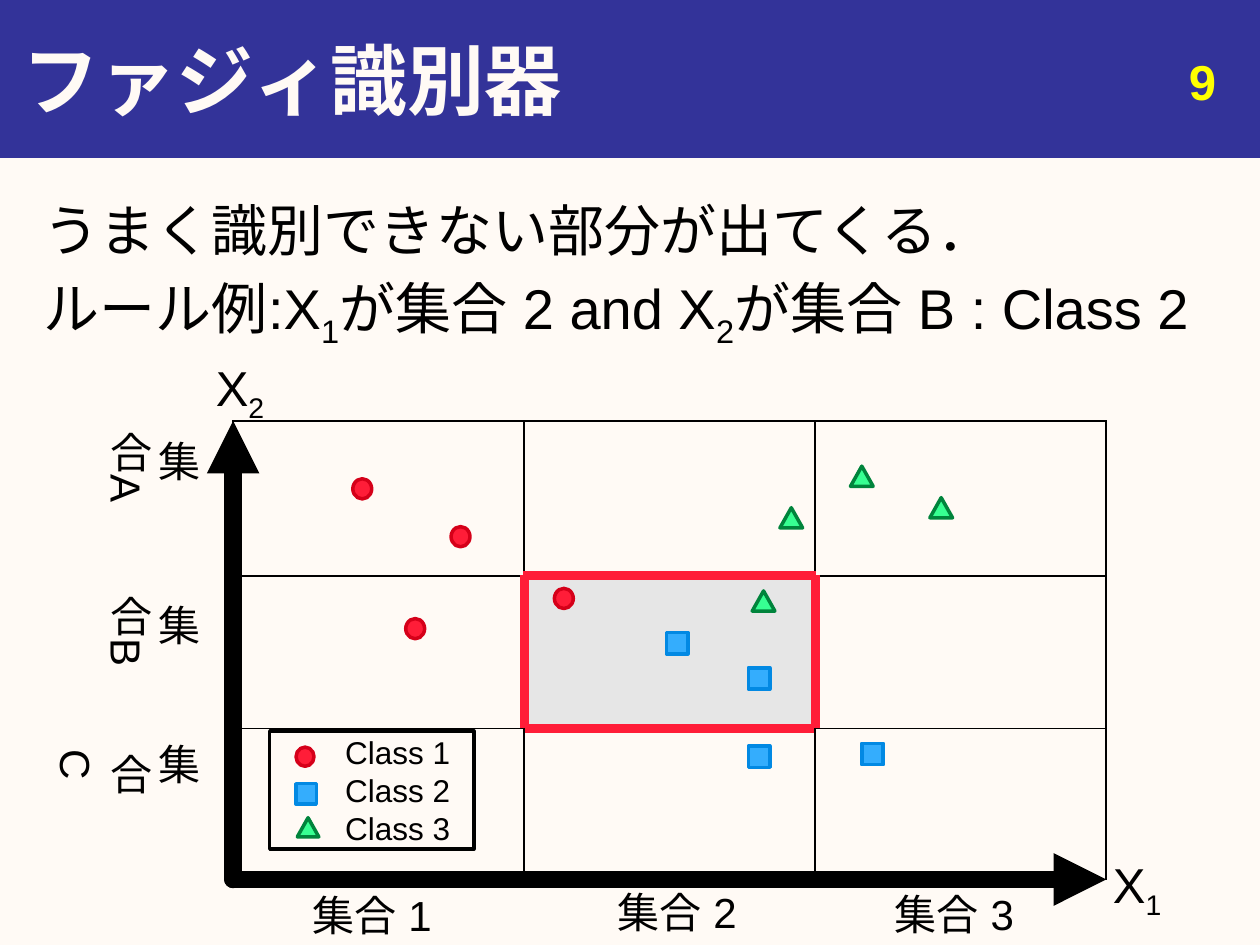
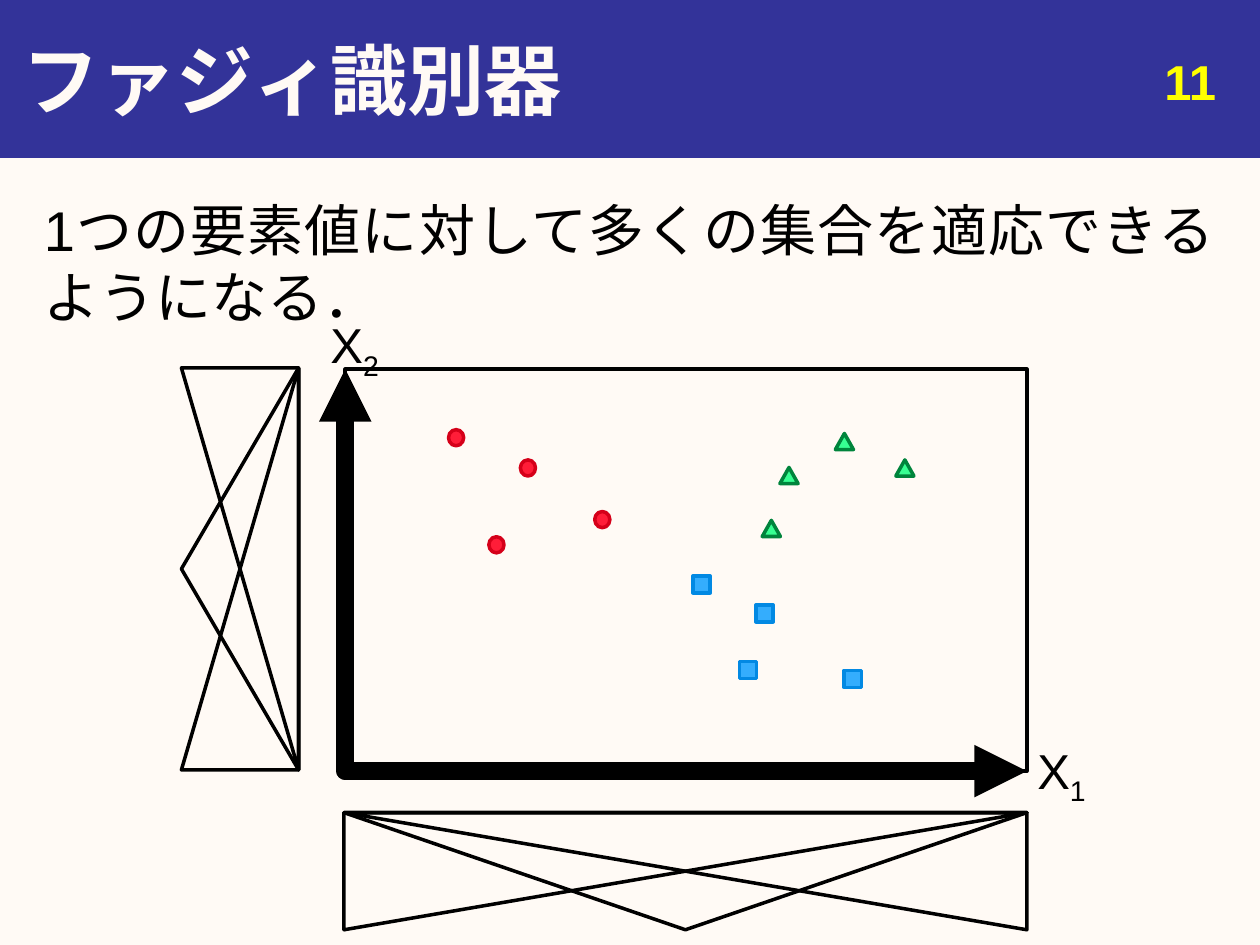
from lxml import etree
from pptx import Presentation
from pptx import util as u
from pptx.dml.color import RGBColor
from pptx.enum import lang, shapes, text
from pptx.oxml import ns

CREAM = RGBColor(0xFF, 0xFA, 0xF5)
NAVY = RGBColor(0x33, 0x33, 0x99)
YELLOW = RGBColor(0xFF, 0xFF, 0x00)
BLACK = RGBColor(0x00, 0x00, 0x00)
GRAY = RGBColor(0xE6, 0xE6, 0xE6)
RED = RGBColor(0xFF, 0x1D, 0x38)
CRIMSON = RGBColor(0xD5, 0x00, 0x19)
SKY = RGBColor(0x34, 0xAD, 0xFD)
BLUE = RGBColor(0x02, 0x89, 0xE3)
MINT = RGBColor(0x37, 0xFF, 0x92)
GREEN = RGBColor(0x00, 0x84, 0x3C)
FONT = "Arial"
FORM = shapes.MSO_SHAPE
ALIGN = text.PP_ALIGN
MID = text.MSO_ANCHOR.MIDDLE

CLASSES = [
    (FORM.OVAL, RED, CRIMSON, 0.15, 0.16),
    (FORM.RECTANGLE, SKY, BLUE, 0.17, 0.17),
    (FORM.ISOSCELES_TRIANGLE, MINT, GREEN, 0.18, 0.16),
]
CRISP_DATA = [
    [(3.58, 4.18), (3.22, 4.91), (2.8, 3.8), (4.4, 4.67)],
    [(5.29, 5.02), (5.94, 5.92), (5.94, 5.3), (6.84, 5.9)],
    [(5.97, 4.69), (6.75, 3.7), (6.19, 4.03), (7.38, 3.95)],
]
FUZZY_DATA = [
    [(4.13, 3.65), (3.88, 4.26), (3.56, 3.41), (4.72, 4.06)],
    [(5.5, 4.57), (5.87, 5.25), (6, 4.8), (6.7, 5.32)],
    [(6.05, 4.13), (6.63, 3.44), (6.19, 3.71), (7.11, 3.65)],
]
LEGEND_DATA = [[(2.35, 5.93)], [(2.35, 6.22)], [(2.36, 6.49)]]


def inches(*sizes):
    """Turn numbers into lengths."""
    return [u.Inches(size) for size in sizes]


def child(parent, tag, **attrs):
    """Append a DrawingML element."""
    return etree.SubElement(parent, ns.qn("a:" + tag), **attrs)


def write(frame, words, size=28, color=BLACK, bold=False, align=ALIGN.CENTER,
          anchor=text.MSO_ANCHOR.TOP, before=0, level=0):
    """Write lines, where an underscore lowers the next character."""
    frame.word_wrap = True
    frame.vertical_anchor = anchor
    for row, line in enumerate(words.split("\n")):
        para = frame.paragraphs[0] if row == 0 else frame.add_paragraph()
        para.alignment, para.level = align, level
        para.space_before = u.Pt(before)
        head, *rest = line.split("_")
        parts = [(head, False)]
        for part in rest:
            parts += [(part[0], True), (part[1:], False)]
        for piece, low in parts:
            if not piece:
                continue
            run = para.add_run()
            run.text = piece
            font = run.font
            font.name, font.size, font.bold = FONT, u.Pt(size), bold
            font.color.rgb = color
            font.language_id = lang.MSO_LANGUAGE_ID.JAPANESE
            props = run._r.get_or_add_rPr()
            child(props, "ea", typeface=FONT)
            if low:
                props.set("baseline", "-25000")


def label(slide, box, words, upright=False, **style):
    """Add a text box, with vertical writing if upright."""
    frame = slide.shapes.add_textbox(*inches(*box)).text_frame
    write(frame, words, **style)
    if upright:
        frame._txBody.bodyPr.set("vert", "eaVert")


def draw(slide, form, box, fill=None, line=BLACK, width=2):
    """Add a flat preset shape."""
    shape = slide.shapes.add_shape(form, *inches(*box))
    shape.shadow.inherit = False
    if fill is None:
        shape.fill.background()
    else:
        shape.fill.solid()
        shape.fill.fore_color.rgb = fill
    shape.line.color.rgb = line
    shape.line.width = u.Pt(width)
    return shape


def arrow(slide, start, end):
    """Add a thick axis arrow."""
    link = slide.shapes.add_connector(
        shapes.MSO_CONNECTOR.STRAIGHT, *inches(*start, *end))
    link.line.color.rgb = BLACK
    link.line.width = u.Pt(10)
    edge = link.line._get_or_add_ln()
    edge.set("cap", "rnd")
    child(edge, "tailEnd", type="triangle")
    child(link._element.spPr, "effectLst")


def axes(slide, left, top, right, base):
    """Add both axes from their common corner."""
    arrow(slide, (left, base), (left, top))
    arrow(slide, (left, base), (right, base))


def plot(slide, data, scale=1):
    """Add the markers of each class."""
    for (form, fill, line, wide, high), spots in zip(CLASSES, data):
        for left, top in spots:
            draw(slide, form, (left, top, wide * scale, high * scale), fill, line)


def border(cell, side, color, width):
    """Draw one side of a cell."""
    edge = child(cell._tc.get_or_add_tcPr(), "ln" + side, w=str(u.Pt(width)))
    child(child(edge, "solidFill"), "srgbClr", val=str(color))


def grid(slide, box, rows):
    """Add the rule table with its middle cell marked."""
    table = slide.shapes.add_table(3, 3, *inches(*box)).table
    table.first_row = table.horz_banding = False
    sides = {"L": (0, -1), "R": (0, 1), "T": (-1, 0), "B": (1, 0)}
    mark = (1, 1)
    for row, high in enumerate(rows):
        table.rows[row].height = u.Inches(high)
        for col in range(3):
            cell = table.cell(row, col)
            for side, (down, over) in sides.items():
                hot = mark in ((row, col), (row + down, col + over))
                border(cell, side, RED if hot else BLACK, 6 if hot else 1)
            cell.fill.solid()
            cell.fill.fore_color.rgb = GRAY if (row, col) == mark else CREAM


def fuzzy(slide, box, turn=0):
    """Add three overlapping membership triangles."""
    for peak in (0, 0.5, 1):
        shape = draw(slide, FORM.ISOSCELES_TRIANGLE, box)
        shape.adjustments[0] = peak
        shape.rotation = turn
        shape._element.spPr.get_or_add_xfrm().set("flipV", "1")


def start(deck, number, body):
    """Add a slide with its band, title, number and body."""
    slide = deck.slides.add_slide(deck.slide_layouts[6])
    slide.background.fill.solid()
    slide.background.fill.fore_color.rgb = CREAM
    draw(slide, FORM.RECTANGLE, (0, 0, 10, 1.25), NAVY, NAVY, 0.75)
    label(slide, (0.08, 0, 9.92, 1.25), "ファジィ識別器", size=44,
          color=CREAM, bold=True, align=ALIGN.LEFT, anchor=MID)
    label(slide, (0.25, 1.5, 9.5, 5.67), body, size=32,
          align=ALIGN.JUSTIFY, before=6.4)
    label(slide, (7.42, 0.36, 2.33, 0.52), number, color=YELLOW,
          bold=True, align=ALIGN.RIGHT)
    return slide


def crisp_slide(deck):
    """Build the slide on crisp sets."""
    slide = start(deck, "9", "うまく識別できない部分が出てくる．\n"
                  "ルール例:X_1が集合 2 and X_2が集合 B : Class 2")
    label(slide, (8.58, 6.73, 0.89, 0.57), "X_1")
    label(slide, (1.46, 2.79, 0.89, 0.57), "X_2")
    for name, left, top in (("1", 1.92, 7.01), ("2", 4.34, 6.99), ("3", 6.54, 7)):
        label(slide, (left, top, 2.07, 0.49), "集合 " + name, size=24)
    grid(slide, (1.85, 3.34, 6.93, 3.64), (1.23, 1.21, 1.2))
    for name, top in (("A", 3.24), ("B", 4.54), ("C", 5.8)):
        label(slide, (0.74, top, 0.92, 0.86), "集合 " + name, True, size=24)
    legend = draw(slide, FORM.RECTANGLE, (2.14, 5.8, 1.62, 0.94), CREAM)
    write(legend.text_frame, "Class 1\nClass 2\nClass 3", size=18,
          align=ALIGN.LEFT, anchor=MID, level=1)
    plot(slide, LEGEND_DATA, 0.95)
    axes(slide, 1.85, 3.34, 8.78, 6.98)
    plot(slide, CRISP_DATA)


def fuzzy_slide(deck):
    """Build the slide on fuzzy sets."""
    slide = start(deck, "11", "1つの要素値に対して多くの集合を適応できるようになる．")
    fuzzy(slide, (2.73, 6.45, 5.42, 0.93))
    axes(slide, 2.74, 2.93, 8.15, 6.12)
    label(slide, (8.09, 5.83, 0.67, 0.57), "X_1")
    label(slide, (2.48, 2.45, 0.67, 0.57), "X_2")
    plot(slide, FUZZY_DATA, 0.8)
    fuzzy(slide, (0.31, 4.05, 3.19, 0.93), 90)
    draw(slide, FORM.RECTANGLE, (2.74, 2.93, 5.41, 3.19))


def main():
    """Build and save the deck."""
    deck = Presentation()
    deck.slide_width, deck.slide_height = inches(10, 7.5)
    crisp_slide(deck)
    fuzzy_slide(deck)
    deck.save("out.pptx")


if __name__ == "__main__":
    main()
